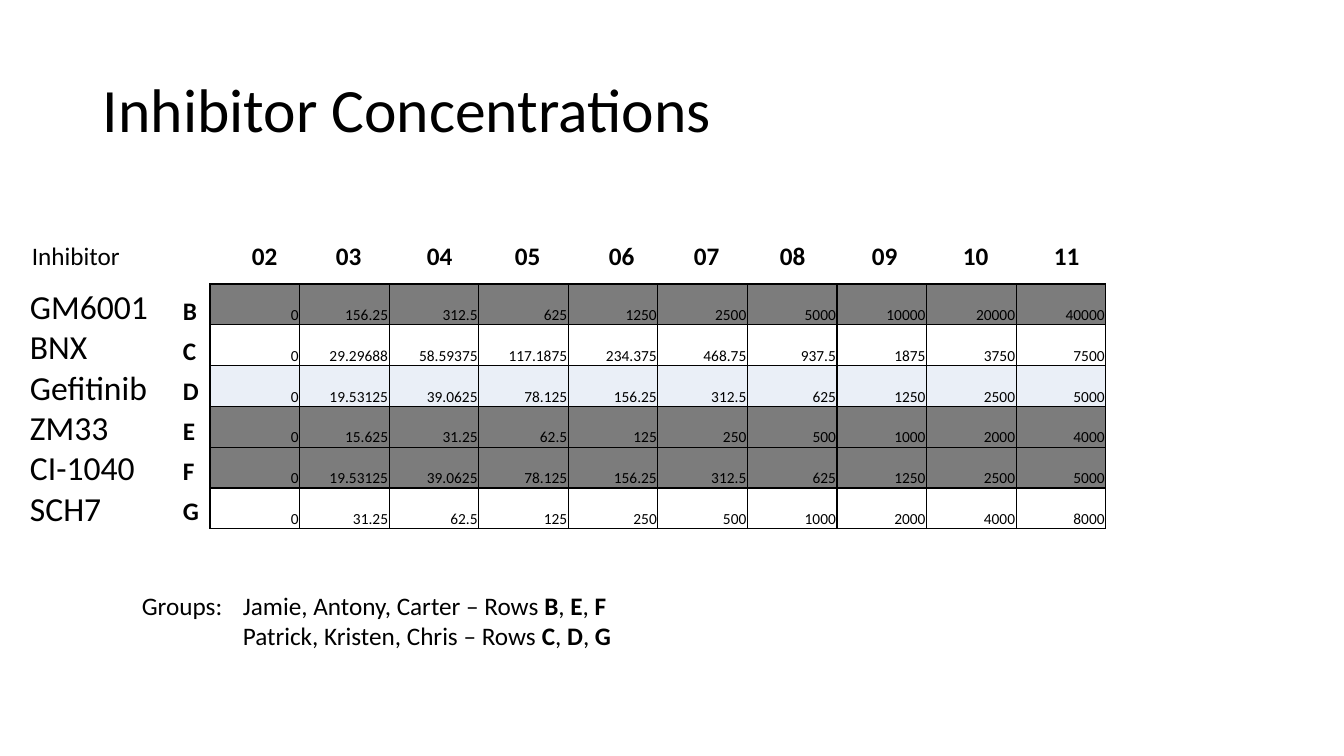
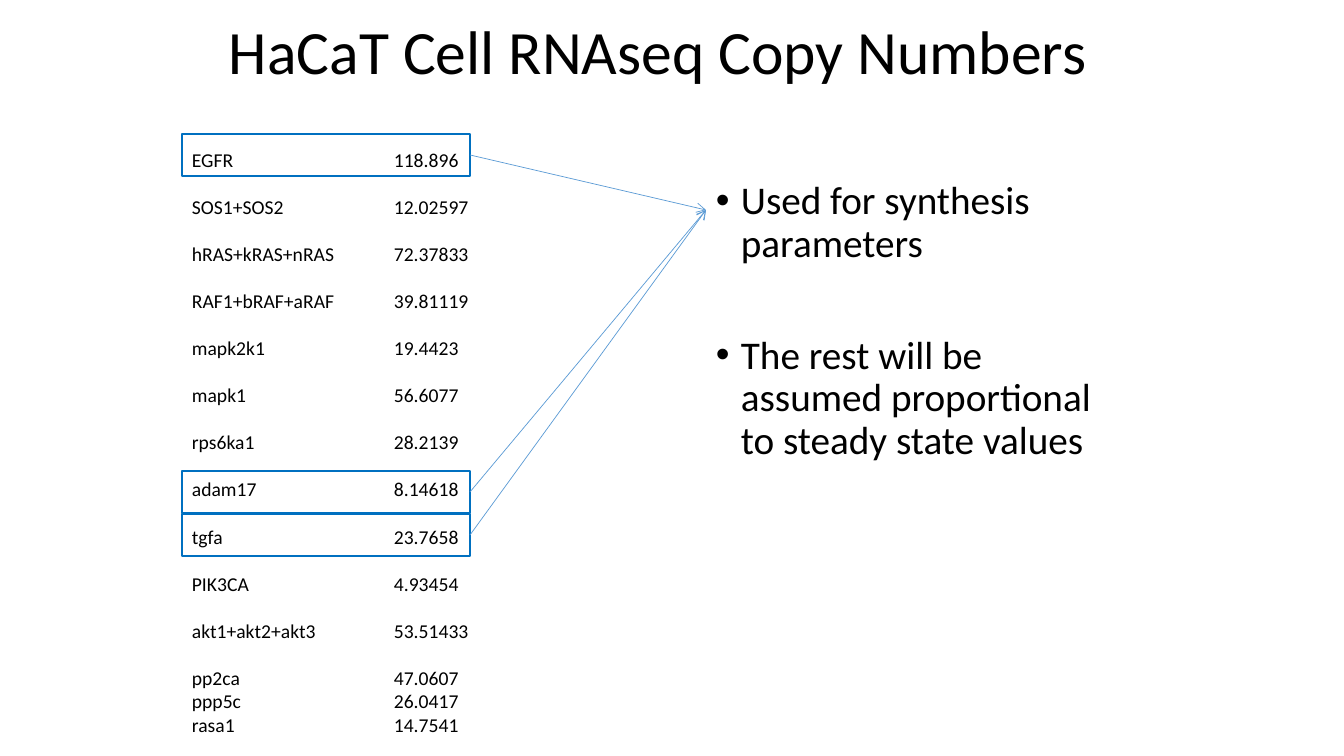
from lxml import etree
from pptx import Presentation
from pptx.dml.color import RGBColor
from pptx.enum.shapes import MSO_CONNECTOR, MSO_SHAPE
from pptx.enum.text import MSO_ANCHOR, PP_ALIGN
from pptx.oxml.ns import qn
from pptx.util import Emu, Pt

BLACK = RGBColor(0x00, 0x00, 0x00)
WHITE = RGBColor(0xFF, 0xFF, 0xFF)
GRAY = RGBColor(0x7C, 0x7C, 0x7C)
PALE = RGBColor(0xEA, 0xEF, 0xF7)
BLUE = RGBColor(0x00, 0x70, 0xC0)
ARROW_BLUE = RGBColor(0x5B, 0x9B, 0xD5)

RECT = MSO_SHAPE.RECTANGLE
STRAIGHT = MSO_CONNECTOR.STRAIGHT
TOP, MIDDLE, BOTTOM = MSO_ANCHOR.TOP, MSO_ANCHOR.MIDDLE, MSO_ANCHOR.BOTTOM
RIGHT = PP_ALIGN.RIGHT
RIGHT_SIDE = 3

SLIDE_W, SLIDE_H = 1344, 756
EMU_PER_PX = 12192000 / SLIDE_W


def px(n):
    return Emu(round(n * EMU_PER_PX))


def sub(parent, tag, **attrs):
    return etree.SubElement(parent, qn(tag), {k: str(v) for k, v in attrs.items()})


class Deck:
    """Holds the shared style and the current slide."""

    font = "Calibri"
    title_size = 44
    tight = 0.9

    def __init__(self):
        self.prs = Presentation()
        self.prs.slide_width, self.prs.slide_height = px(SLIDE_W), px(SLIDE_H)
        self.s = None

    def slide(self, title, box):
        self.s = self.prs.slides.add_slide(self.prs.slide_layouts[6])
        self.text(box, [title], self.title_size, anchor=MIDDLE, spacing=self.tight)

    def run(self, p, text, size, bold=False):
        r = p.add_run()
        r.text = text
        f = r.font
        f.name, f.size, f.bold, f.color.rgb = self.font, Pt(size), bold, BLACK

    def text(self, box, paras, size, bold=False, wrap=True, anchor=TOP,
             spacing=None, before=None, tab=None, bullet=False):
        """Each paragraph is a string or a list of (text, bold) runs;
        before maps a paragraph index to its space before in points."""
        tf = self.s.shapes.add_textbox(*map(px, box)).text_frame
        tf.word_wrap, tf.vertical_anchor = wrap, anchor
        for i, para in enumerate(paras):
            p = tf.paragraphs[0] if i == 0 else tf.add_paragraph()
            if spacing:
                p.line_spacing = spacing
            if before and i in before:
                p.space_before = Pt(before[i])
            pPr = p._p.get_or_add_pPr()
            if bullet:
                pPr.set("marL", str(px(25)))
                pPr.set("indent", str(-px(25)))
                sub(pPr, "a:buFont", typeface="Arial")
                sub(pPr, "a:buChar", char="•")
            if tab:
                sub(sub(pPr, "a:tabLst"), "a:tab", pos=px(tab), algn="l")
            for part, strong in [(para, bold)] if isinstance(para, str) else para:
                self.run(p, part, size, strong)

    def table(self, box, rows, fills, size):
        x, y, w, h = box
        n_cols = len(rows[0])
        tbl = self.s.shapes.add_table(len(rows), n_cols, *map(px, box)).table
        tbl.first_row = tbl.horz_banding = False
        for col in tbl.columns:
            col.width = px(w / n_cols)
        for row, values, fill in zip(tbl.rows, rows, fills):
            row.height = px(h / len(rows))
            for cell, value in zip(row.cells, values):
                self.cell(cell, value, fill, size)

    def cell(self, cell, value, fill, size):
        cell.margin_left = cell.margin_right = cell.margin_top = px(1)
        cell.margin_bottom = 0
        cell.vertical_anchor = BOTTOM
        tcPr = cell._tc.get_or_add_tcPr()
        for side in ("a:lnL", "a:lnR", "a:lnT", "a:lnB"):
            ln = sub(tcPr, side, w=Pt(1))
            sub(sub(ln, "a:solidFill"), "a:srgbClr", val=BLACK)
        cell.fill.solid()
        cell.fill.fore_color.rgb = fill
        p = cell.text_frame.paragraphs[0]
        p.alignment = RIGHT
        self.run(p, value, size)

    def frame(self, box):
        sp = self.s.shapes.add_shape(RECT, *map(px, box))
        sp.shadow.inherit = False
        sp.fill.background()
        sp.line.color.rgb, sp.line.width = BLUE, Pt(1)
        return sp

    def arrow(self, sp, x, y):
        """Arrow from the right side of a frame to a point."""
        cx = self.s.shapes.add_connector(STRAIGHT, sp.left + sp.width, sp.top,
                                         px(x), px(y))
        cx.begin_connect(sp, RIGHT_SIDE)
        cx.line.color.rgb, cx.line.width = ARROW_BLUE, Pt(0.5)
        spPr = cx._element.spPr
        sub(spPr.find(qn("a:ln")), "a:tailEnd", type="arrow")
        sub(spPr, "a:effectLst")


# Inhibitor, plate row, highest concentration, row fill
INHIBITORS = [
    ("GM6001", "B", 40000, GRAY),
    ("BNX", "C", 7500, WHITE),
    ("Gefitinib", "D", 5000, PALE),
    ("ZM33", "E", 4000, GRAY),
    ("CI-1040", "F", 5000, GRAY),
    ("SCH7", "G", 8000, WHITE),
]
PLATE_COLUMN_LEFTS = [242, 326, 417, 505, 599, 684, 770, 862, 953, 1044]
GROUPS = [("Groups: \tJamie, Antony, Carter – Rows ", "BEF"),
          ("\tPatrick, Kristen, Chris – Rows ", "CDG")]

COPY_NUMBERS = [
    ("EGFR", "118.896"), ("SOS1+SOS2", "12.02597"),
    ("hRAS+kRAS+nRAS", "72.37833"), ("RAF1+bRAF+aRAF", "39.81119"),
    ("mapk2k1", "19.4423"), ("mapk1", "56.6077"), ("rps6ka1", "28.2139"),
    ("adam17", "8.14618"), ("tgfa", "23.7658"), ("PIK3CA", "4.93454"),
    ("akt1+akt2+akt3", "53.51433"), ("pp2ca", "47.0607"),
    ("ppp5c", "26.0417"), ("rasa1", "14.7541"),
]


def dilutions(top):
    """A blank well, then two-fold steps up to the top concentration."""
    return ["0"] + [f"{top / 2 ** k:.7g}" for k in range(8, -1, -1)]


def group_line(lead, letters):
    runs = [(lead, False)]
    for i, letter in enumerate(letters):
        if i:
            runs.append((", ", False))
        runs.append((letter, True))
    return runs


def concentrations(deck):
    deck.slide("Inhibitor Concentrations", (93, 40, 1159, 146))
    names, letters, tops, fills = zip(*INHIBITORS)
    deck.table((210, 284, 896, 245), [dilutions(top) for top in tops], fills, 11)

    # Plate row and column labels
    for i, letter in enumerate(letters):
        deck.text((173, 290 + 40 * i, 35, 40), [letter], 18, bold=True, wrap=False)
    for number, x in enumerate(PLATE_COLUMN_LEFTS, start=2):
        deck.text((x, 235, 46, 40), [f"{number:02d}"], 18, bold=True, wrap=False)

    # Groups and inhibitor names
    deck.text((132, 585, 494, 72), [group_line(*g) for g in GROUPS], 18,
              wrap=False, tab=101)
    deck.text((22, 235, 109, 40), ["Inhibitor"], 18, wrap=False)
    deck.text((20, 281, 139, 254), names, 24, wrap=False)


def copy_numbers(deck):
    deck.slide("HaCaT Cell RNAseq Copy Numbers", (219, -8, 907, 126))

    # Gene list: one line of space before every gene up to pp2ca
    deck.text((182, 143, 389, 604), [f"{gene}\t{n}" for gene, n in COPY_NUMBERS], 14,
              tab=202, before={i: 16.8 for i in range(1, 12)})

    # Framed genes, each pointing at the first bullet
    frames = [deck.frame((182, y, 288, 42)) for y in (134, 471, 514)]
    for sp in frames:
        deck.arrow(sp, 706, 210)

    deck.text((706, 176, 420, 499),
              ["Used for synthesis parameters",
               "The rest will be assumed proportional to steady state values"],
              28, spacing=deck.tight, before={1: 50}, bullet=True)


def main():
    deck = Deck()
    concentrations(deck)
    copy_numbers(deck)
    deck.prs.save("out.pptx")


if __name__ == "__main__":
    main()
